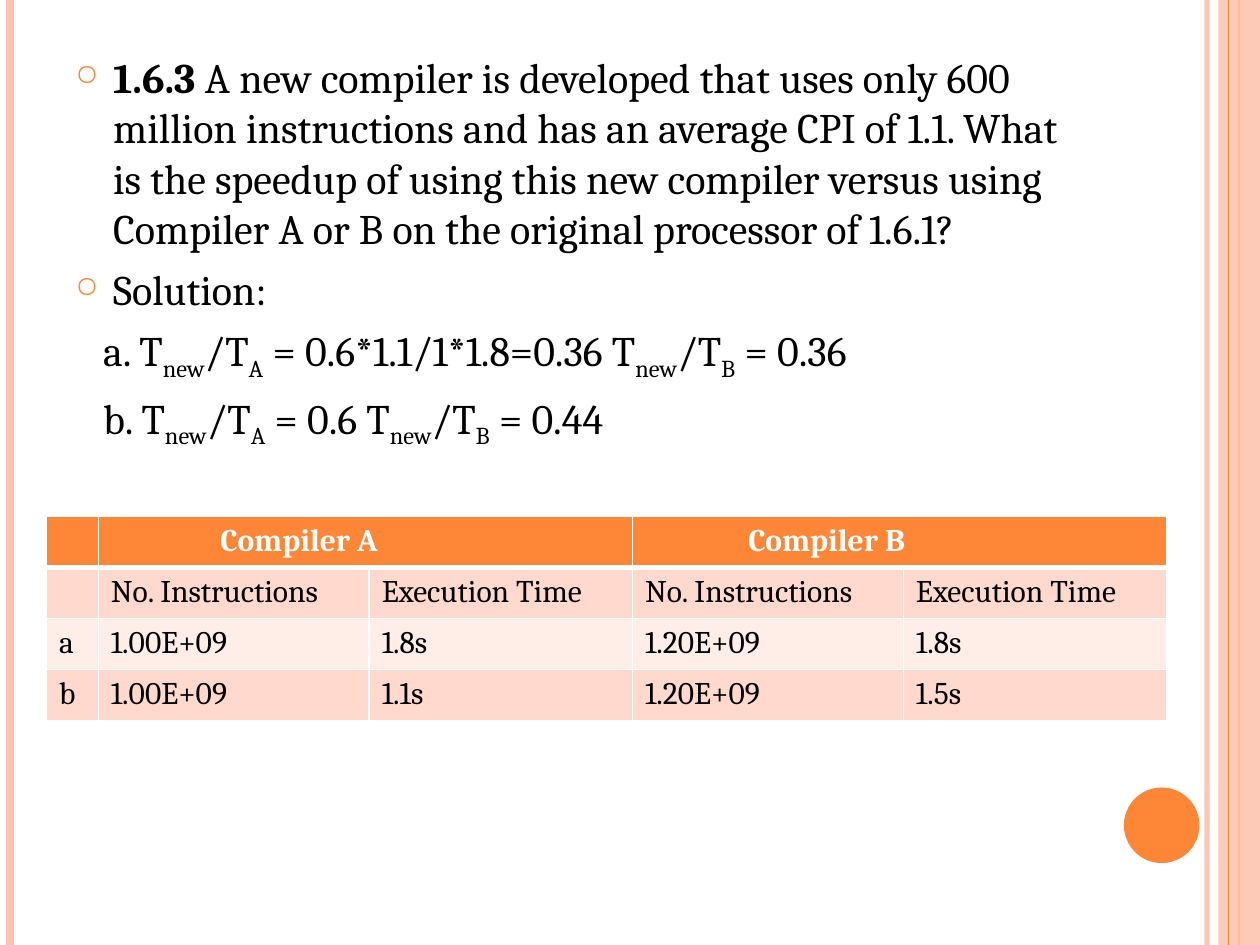
from dataclasses import dataclass
from typing import Optional

from lxml import etree
from pptx import Presentation
from pptx import util as u
from pptx.dml.color import RGBColor
from pptx.enum import shapes, text
from pptx.oxml.ns import qn


@dataclass(frozen=True)
class Theme:
    font: str = "Cambria"
    body: int = 24
    cell: int = 18
    black: str = "000000"
    white: str = "FFFFFF"
    orange: str = "FE8637"
    peach: str = "FEC3AE"
    band_dark: str = "FFD9CE"
    band_light: str = "FFEDE8"


@dataclass(frozen=True)
class Stripe:
    x: float
    width: float
    color: str
    alpha: int = 100


@dataclass(frozen=True)
class BodyLine:
    wording: str
    lead: str = ""
    bullet: bool = True


T = Theme()
WIDTH, HEIGHT = 10, 7.5

BACK_STRIPES = [
    Stripe(9.58, 3, T.peach, 93),
    Stripe(0.08, 4.5, T.peach),
    Stripe(9.83, 1.5, T.orange),
]
FRONT_STRIPE = Stripe(9.75, 0.75, T.orange)

BODY = [
    BodyLine(" A new compiler is developed that uses only 600 million instructions "
             "and has an average CPI of 1.1. What is the speedup of using this new "
             "compiler versus using Compiler A or B on the original processor of 1.6.1?",
             lead="1.6.3"),
    BodyLine("Solution:"),
    BodyLine("a. T|new|/T|A| = 0.6*1.1/1*1.8=0.36 T|new|/T|B| = 0.36", bullet=False),
    BodyLine("b. T|new|/T|A| = 0.6 T|new|/T|B| = 0.44", bullet=False),
]

COLUMNS = [0.41, 2.15, 2.09, 2.15, 2.09]
ROWS = [
    ["", "Compiler A", "", "Compiler B", ""],
    [""] + ["No. Instructions", "Execution Time"] * 2,
    ["a", "1.00E+09", "1.8s", "1.20E+09", "1.8s"],
    ["b", "1.00E+09", "1.1s", "1.20E+09", "1.5s"],
]
HEADER_MARGINS = {1: 0.97, 3: 0.92}
ROW_FILLS = [T.orange, T.band_dark, T.band_light, T.band_dark]


def rgb(color: str) -> RGBColor:
    return RGBColor.from_string(color)


def set_alpha(parent, percent: int) -> None:
    for clr in parent.iter(qn("a:srgbClr")):
        etree.SubElement(clr, qn("a:alpha"), val=str(percent * 1000))


def style_run(r, size: int, color: str, bold: bool = False) -> None:
    r.font.name = T.font
    r.font.size = u.Pt(size)
    r.font.bold = bold
    r.font.color.rgb = rgb(color)


def add_stripe(s, stripe: Stripe):
    x = u.Inches(stripe.x)
    cx = s.shapes.add_connector(shapes.MSO_CONNECTOR.STRAIGHT, x, 0, x, u.Inches(HEIGHT))
    cx.line.color.rgb = rgb(stripe.color)
    cx.line.width = u.Pt(stripe.width)
    spPr = cx._element.spPr
    if stripe.alpha < 100:
        set_alpha(spPr, stripe.alpha)
    etree.SubElement(spPr, qn("a:effectLst"))
    return cx


def add_block(s, kind, x: float, y: float, w: float, h: float,
              color: str, alpha: Optional[int] = None):
    sp = s.shapes.add_shape(kind, u.Inches(x), u.Inches(y), u.Inches(w), u.Inches(h))
    sp.shadow.inherit = False
    sp.fill.solid()
    sp.fill.fore_color.rgb = rgb(color)
    sp.line.fill.background()
    if alpha is not None:
        set_alpha(sp._element.spPr, alpha)
    return sp


def format_indent(p, bullet: bool) -> None:
    pPr = p._p.get_or_add_pPr()
    pPr.set("marL", str(u.Inches(0.3 if bullet else 0)))
    pPr.set("indent", str(u.Inches(-0.3 if bullet else 0.22)))
    if bullet:
        color = etree.SubElement(pPr, qn("a:buClr"))
        etree.SubElement(color, qn("a:srgbClr"), val=T.orange)
        etree.SubElement(pPr, qn("a:buSzPct"), val="70000")
        etree.SubElement(pPr, qn("a:buChar"), char="○")
    else:
        etree.SubElement(pPr, qn("a:buNone"))


def add_body(s, lines: list[BodyLine]) -> None:
    box = s.shapes.add_textbox(u.Inches(0.5), u.Inches(0.36), u.Inches(8.17), u.Inches(6.72))
    tf = box.text_frame
    tf.word_wrap = True
    tf.vertical_anchor = text.MSO_ANCHOR.TOP
    for i, line in enumerate(lines):
        p = tf.add_paragraph() if i else tf.paragraphs[0]
        format_indent(p, line.bullet)
        if i:
            p.space_before = u.Pt(6)
        if line.lead:
            r = p.add_run()
            r.text = line.lead
            style_run(r, T.body, T.black, bold=True)
        for j, piece in enumerate(line.wording.split("|")):
            r = p.add_run()
            r.text = piece
            style_run(r, T.body, T.black)
            if j % 2:
                r._r.get_or_add_rPr().set("baseline", "-25000")


def set_borders(cell, bottom: float, top: float) -> None:
    tcPr = cell._tc.get_or_add_tcPr()
    for side, width in (("L", 1), ("R", 1), ("T", top), ("B", bottom)):
        ln = etree.SubElement(tcPr, qn(f"a:ln{side}"), w=str(u.Pt(width)))
        fill = etree.SubElement(ln, qn("a:solidFill"))
        etree.SubElement(fill, qn("a:srgbClr"), val=T.white)


def add_results(s) -> None:
    frame = s.shapes.add_table(len(ROWS), len(COLUMNS), u.Inches(0.37), u.Inches(4.1),
                               u.Inches(sum(COLUMNS)), u.Inches(1.62))
    table = frame.table
    table.first_row = table.horz_banding = False
    for column, width in zip(table.columns, COLUMNS):
        column.width = u.Inches(width)
    for i, values in enumerate(ROWS):
        header = i == 0
        for j, value in enumerate(values):
            cell = table.cell(i, j)
            set_borders(cell, bottom=3 if header else 1, top=3 if i == 1 else 1)
            cell.fill.solid()
            cell.fill.fore_color.rgb = rgb(ROW_FILLS[i])
            if header and j in HEADER_MARGINS:
                cell.margin_left = u.Inches(HEADER_MARGINS[j])
            if value:
                cell.text_frame.text = value
                style_run(cell.text_frame.paragraphs[0].runs[0], T.cell,
                          T.white if header else T.black, bold=header)
    for j in HEADER_MARGINS:
        table.cell(0, j).merge(table.cell(0, j + 1))


def main() -> None:
    prs = Presentation()
    prs.slide_width, prs.slide_height = u.Inches(WIDTH), u.Inches(HEIGHT)
    s = prs.slides.add_slide(prs.slide_layouts[6])
    stripes = [add_stripe(s, stripe) for stripe in BACK_STRIPES]
    band = add_block(s, shapes.MSO_SHAPE.RECTANGLE, 9.67, 0, 0.33, HEIGHT, T.peach, 87)
    stripes[-1].begin_connect(band, 0)
    stripes[-1].end_connect(band, 2)
    add_stripe(s, FRONT_STRIPE)
    add_block(s, shapes.MSO_SHAPE.OVAL, 8.92, 6.25, 0.6, 0.6, T.orange)
    add_body(s, BODY)
    add_results(s)
    prs.save("out.pptx")


if __name__ == "__main__":
    main()
